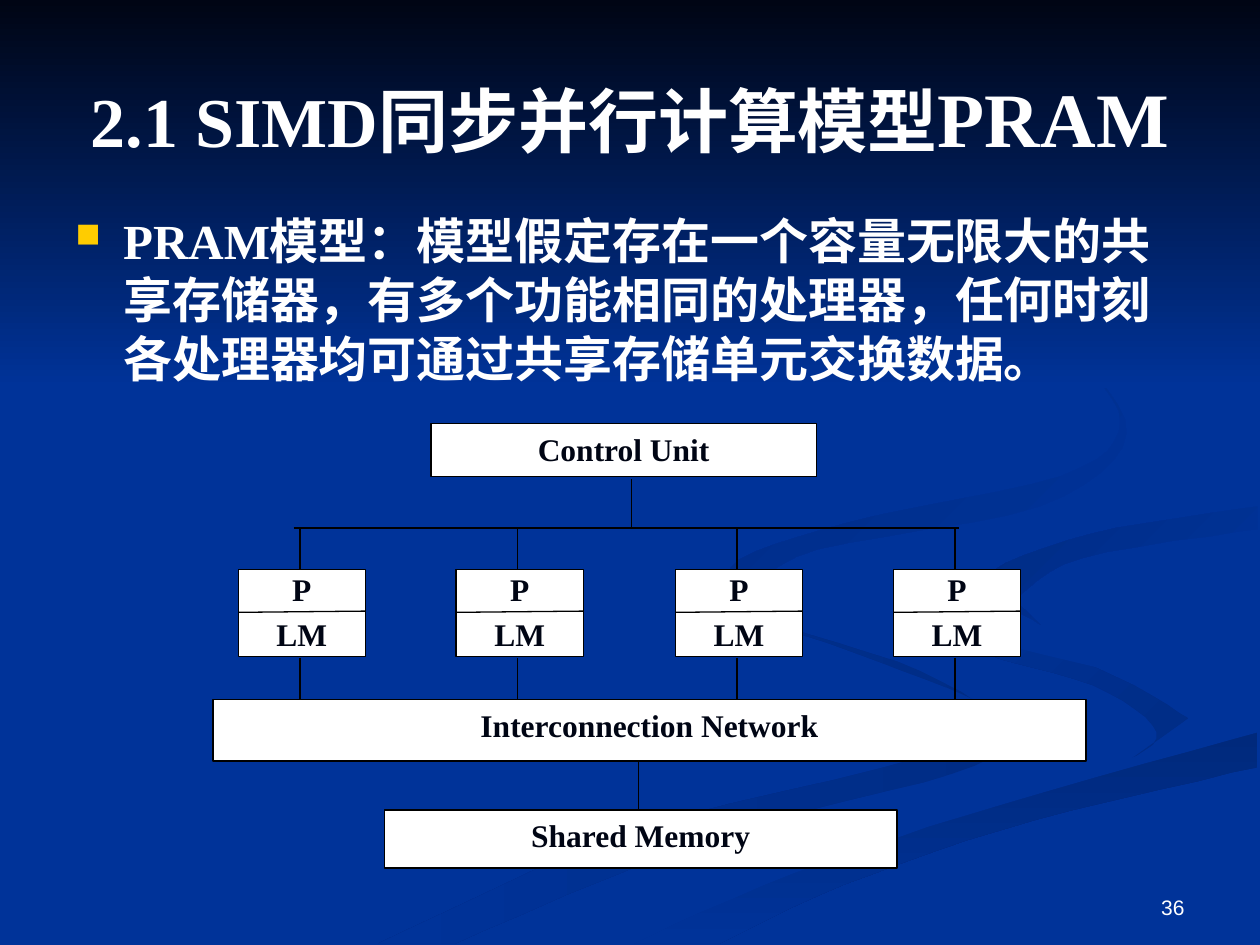
from lxml import etree
from pptx import Presentation
from pptx.dml.color import RGBColor
from pptx.enum.shapes import MSO_CONNECTOR, MSO_SHAPE
from pptx.enum.text import MSO_ANCHOR, MSO_AUTO_SIZE, PP_ALIGN
from pptx.oxml.ns import qn
from pptx.util import Emu, Pt

PX = 9144  # 100 px to the inch
WIDE, HIGH = 1000, 750
WHITE = RGBColor(0xFF, 0xFF, 0xFF)
BLACK = RGBColor(0, 0, 0)
NIGHT = RGBColor(0x00, 0x05, 0x14)
BLUE = RGBColor(0x00, 0x33, 0x99)
DUSK = RGBColor(0x00, 0x2C, 0x85)
DEEP = RGBColor(0x00, 0x29, 0x7C)
SERIF, SANS = "Times New Roman", "Arial"
LEFT, MID, RIGHT = PP_ALIGN.LEFT, PP_ALIGN.CENTER, PP_ALIGN.RIGHT
TOP, CENTER, BOTTOM = MSO_ANCHOR.TOP, MSO_ANCHOR.MIDDLE, MSO_ANCHOR.BOTTOM
RECT, STRAIGHT = MSO_SHAPE.RECTANGLE, MSO_CONNECTOR.STRAIGHT
NO_FIT = MSO_AUTO_SIZE.NONE

# Each ribbon: first colour, last colour, clockwise angle, and its edges,
# each a smooth curve through a few px points
RIBBONS = [
    (DUSK, BLUE, 180, [
        [(575, 459), (581, 483), (697, 525), (786, 566), (727, 602),
         (499, 661), (300, 749)],
        [(361, 749), (564, 665), (756, 614), (800, 581), (731, 533),
         (602, 490), (575, 459)]]),
    (DUSK, BLUE, 225, [
        [(724, 464), (766, 512), (868, 544), (918, 581), (894, 605)],
        [(943, 570), (870, 530), (758, 498), (724, 464)]]),
    (DEEP, BLUE, 90, [
        [(503, 749), (630, 693), (797, 638), (998, 581)],
        [(998, 609), (821, 651), (670, 702), (571, 749)]]),
    (BLUE, BLUE, 0, [
        [(725, 464), (793, 509), (905, 540), (943, 570), (881, 608),
         (663, 668), (477, 749)],
        [(503, 749), (630, 693), (797, 638), (999, 581)],
        [(999, 538), (866, 509), (781, 463), (850, 427), (999, 402)],
        [(999, 387), (808, 417), (725, 464)]]),
    (BLUE, DUSK, 225, [
        [(998, 402), (865, 424), (781, 460), (826, 496)],
        [(805, 476), (859, 443), (998, 420)]]),
    (BLUE, DUSK, 225, [
        [(762, 233), (846, 279), (889, 335), (842, 378), (676, 414),
         (580, 451), (622, 500)],
        [(593, 470), (649, 436), (825, 402), (894, 344), (843, 275),
         (762, 233)]]),
]


def px(*nums):
    return [Emu(n * PX) for n in nums]


def curve(pts, steps=6):
    """Return points of a Catmull-Rom curve, kept on the slide."""
    ends = [pts[0], *pts, pts[-1]]
    out = []
    for a, b, c, d in zip(ends, ends[1:], ends[2:], ends[3:]):
        for k in range(steps + 1):
            t = k / steps
            x, y = (q + t * (r - p + t * (2 * p - 5 * q + 4 * r - s
                    + t * (3 * q - p - 3 * r + s))) / 2
                    for p, q, r, s in zip(a, b, c, d))
            out.append((min(x, WIDE), min(y, HIGH)))
    return out


def shade(shape, first, last, angle):
    shape.shadow.inherit = False
    shape.line.fill.background()
    if first == last:
        shape.fill.solid()
        shape.fill.fore_color.rgb = first
        return
    shape.fill.gradient()
    shape.fill.gradient_angle = 360 - angle
    for stop, color in zip(shape.fill.gradient_stops, (first, last)):
        stop.color.rgb = color


def ribbon(slide, first, last, angle, edges):
    pts = [pt for edge in edges for pt in curve(edge)]
    pen = slide.shapes.build_freeform(*pts[0], scale=PX)
    pen.add_line_segments(pts[1:], close=True)
    shade(pen.convert_to_shape(), first, last, angle)


def place(shape, box):
    shape.left, shape.top, shape.width, shape.height = px(*box)


def style(font, size, color, face=SERIF, bold=True):
    font.size, font.name, font.bold = Pt(size), face, bold
    font.color.rgb = color


def frame(shape, anchor, inset=(10, 5)):
    text = shape.text_frame
    text.word_wrap, text.auto_size = True, NO_FIT
    text.vertical_anchor = anchor
    text.margin_left = text.margin_right = Emu(inset[0] * PX)
    text.margin_top = text.margin_bottom = Emu(inset[1] * PX)
    return text


def head(slide, parts):
    """Fill the title with (text, size) runs and bring it to the front."""
    title = slide.shapes.title
    place(title, (50, 30, 900, 125))
    para = frame(title, CENTER).paragraphs[0]
    para.alignment = MID
    for words, size in parts:
        run = para.add_run()
        run.text = words
        style(run.font, size, WHITE)
    title.element.getparent().append(title.element)


def label(slide, box, words, anchor, align):
    shape = slide.shapes.add_textbox(*px(*box))
    text = frame(shape, anchor)
    text.text = words
    para = text.paragraphs[0]
    para.alignment = align
    return para


def bullet(para):
    props = para._p.get_or_add_pPr()
    props.set("marL", str(38 * PX))
    props.set("indent", str(-38 * PX))
    color = etree.SubElement(props, qn("a:buClr"))
    etree.SubElement(color, qn("a:srgbClr"), val="FFCC00")
    etree.SubElement(props, qn("a:buSzPct"), val="70000")
    etree.SubElement(props, qn("a:buChar"), char="■")


def block(slide, box, words, inset=(10, 5)):
    shape = slide.shapes.add_shape(RECT, *px(*box))
    shape.shadow.inherit = False
    shape.fill.solid()
    shape.fill.fore_color.rgb = WHITE
    shape.line.color.rgb = BLACK
    shape.line.width = Pt(0.75)
    text = frame(shape, TOP, inset)
    text.text = words
    for i, para in enumerate(text.paragraphs):
        para.alignment = MID
        if i:
            para.space_before = Pt(4.5)
        for run in para.runs:
            style(run.font, 18, NIGHT)


def wire(slide, *ends):
    line = slide.shapes.add_connector(STRAIGHT, *px(*ends))
    line.line.color.rgb = BLACK
    line.line.width = Pt(0.75)
    etree.SubElement(line.element.spPr, qn("a:effectLst"))


def node(slide, x):
    """Draw a processor with its local memory and its two links."""
    block(slide, (x, 452, 101, 69), "P\nLM", (0, 0))
    wire(slide, x, 486, x + 101, 485)
    for y in (419, 522):
        wire(slide, x + 49, y, x + 49, y + 33)


def main():
    deck = Presentation()
    deck.slide_width, deck.slide_height = px(WIDE, HIGH)
    slide = deck.slides.add_slide(deck.slide_layouts[5])
    back = slide.background.fill
    back.solid()
    back.fore_color.rgb = BLUE
    for item in RIBBONS:
        ribbon(slide, *item)
    sky = slide.shapes.add_shape(RECT, *px(0, 0, WIDE, 308))
    shade(sky, NIGHT, BLUE, 90)

    head(slide, [("2.1 SIMD同步并行计算模型", 40), ("PRAM", 44)])
    para = label(slide, (50, 162, 900, 169),
                 "PRAM模型：模型假定存在一个容量无限大的共享存储器，"
                 "有多个功能相同的处理器，任何时刻各处理器均可通过"
                 "共享存储单元交换数据。", TOP, LEFT)
    bullet(para)
    style(para.runs[0].font, 28, WHITE)

    block(slide, (342, 336, 306, 42), "Control Unit")
    block(slide, (169, 555, 693, 49), "Interconnection Network")
    block(slide, (305, 643, 407, 46), "Shared Memory")
    for i in range(4):
        node(slide, 189 + round(i * 520 / 3))
    wire(slide, 233, 419, 761, 419)
    wire(slide, 501, 380, 501, 419)
    wire(slide, 507, 604, 507, 643)

    para = label(slide, (717, 683, 233, 52), "36", BOTTOM, RIGHT)
    style(para.runs[0].font, 12, WHITE, SANS, False)
    deck.save("out.pptx")


if __name__ == "__main__":
    main()
